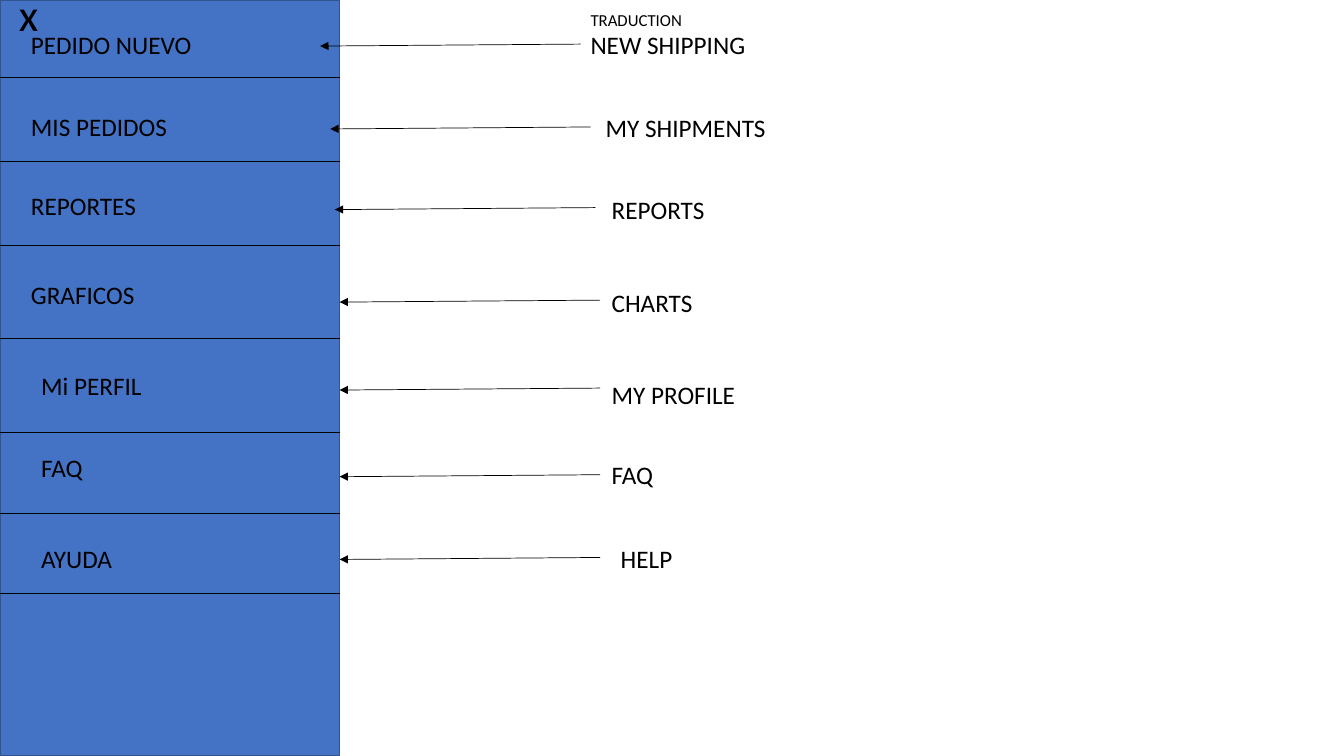
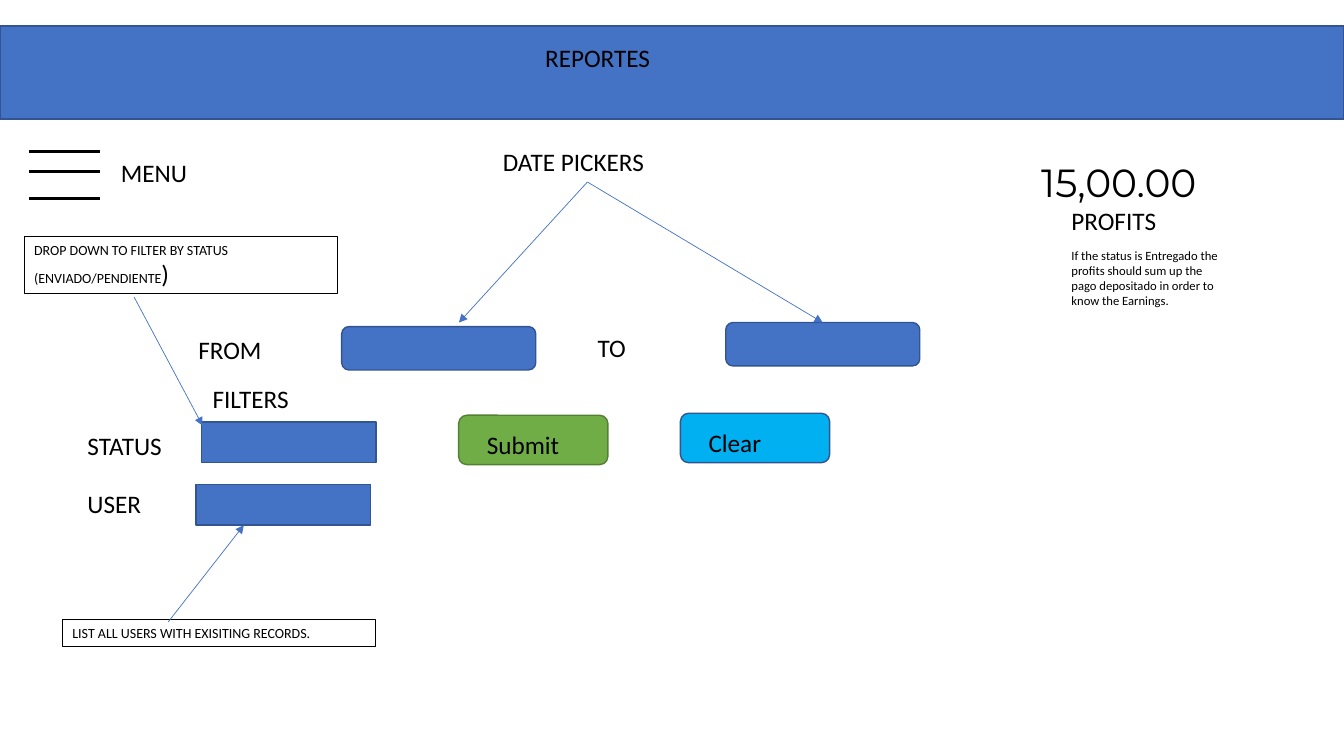
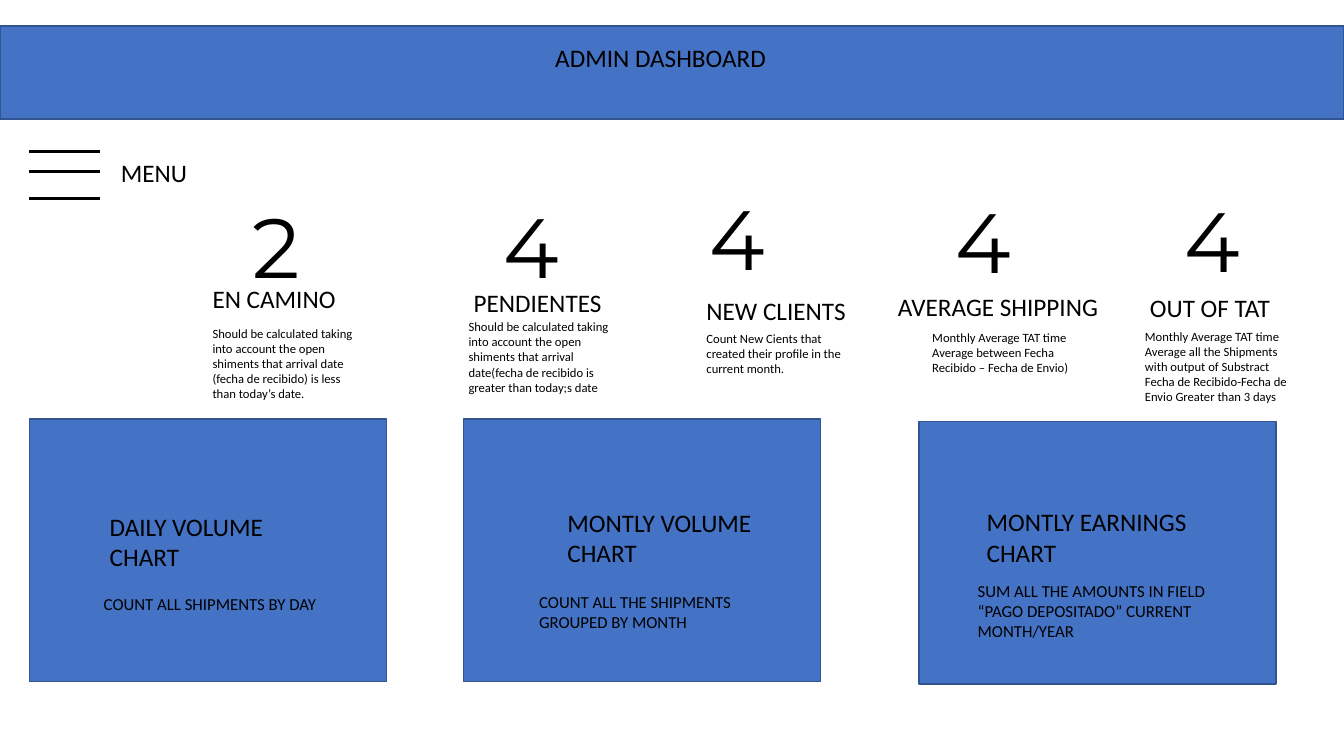
from lxml.etree import SubElement
from pptx import Presentation
from pptx.dml.color import RGBColor
from pptx.enum.shapes import MSO_CONNECTOR, MSO_SHAPE
from pptx.oxml.ns import qn
from pptx.util import Pt

COLORS = {
    "blue": "4472C4",
    "blue_edge": "325491",
    "green": "70AD47",
    "green_edge": "538035",
    "sky": "00B0F0",
    "black": "000000",
}
BODY_FONT = "Calibri"
NUMBER_FONT = "Montserrat"
RECT = MSO_SHAPE.RECTANGLE
ROUNDED = MSO_SHAPE.ROUNDED_RECTANGLE


def add_box(slide, at, text="", size=18, font=BODY_FONT, preset=None,
            fill="blue", edge=None, edge_width=1):
    """Add a filled preset shape, or a text box when no preset is given."""
    lengths = [Pt(value) for value in at]
    if preset is None:
        box = slide.shapes.add_textbox(*lengths)
    else:
        box = slide.shapes.add_shape(preset, *lengths)
        box.shadow.inherit = False
        box.fill.solid()
        box.fill.fore_color.rgb = RGBColor.from_string(COLORS[fill])
        edge = edge or "blue_edge"
    if edge:
        box.line.color.rgb = RGBColor.from_string(COLORS[edge])
        box.line.width = Pt(edge_width)
    if text:
        box.text_frame.word_wrap = True
        para = box.text_frame.paragraphs[0]
        para.text = text
        para.font.size = Pt(size)
        para.font.name = font
        para.font.color.rgb = RGBColor.from_string(COLORS["black"])
    return box


def add_line(slide, start, end, color="black", width=0.5, arrow=False):
    line = slide.shapes.add_connector(
        MSO_CONNECTOR.STRAIGHT, *[Pt(value) for value in (*start, *end)])
    line.line.color.rgb = RGBColor.from_string(COLORS[color])
    line.line.width = Pt(width)
    if arrow:
        SubElement(line.line._get_or_add_ln(), qn("a:tailEnd"), type="triangle")
    SubElement(line._element.spPr, qn("a:effectLst"))
    return line


deck = Presentation()
deck.slide_width, deck.slide_height = Pt(960), Pt(540)
blank = deck.slide_layouts[6]
menu, reports, dashboard = [deck.slides.add_slide(blank) for _ in range(3)]

# Shared header: title band and menu icon
for slide, title, title_left in [
    (reports, "REPORTES", 382.3),
    (dashboard, "ADMIN DASHBOARD", 389.5),
]:
    add_box(slide, (0, 18.7, 960, 66.2), preset=RECT)
    add_box(slide, (title_left, 26.6, 216, 51), title)
    for y in (108.4, 122.4, 141.8):
        add_line(slide, (20.9, y), (71.3, y), width=2.25)
    add_box(slide, (79.2, 108.7, 65.5, 29), "MENU")

# Slide 1: side menu with translations
SIDEBAR_WIDTH = 242.6
ARROW_RUN, ARROW_DROP = 186, 1.4
add_box(menu, (0, 0, SIDEBAR_WIDTH, 540), preset=RECT)
add_box(menu, (6.5, -13, 31.7, 46), "x", size=32)
add_box(menu, (414.7, 3.6, 156, 21.6), "TRADUCTION", size=12)
# Spanish label, left, top; English label, left, top; arrow x, y; divider y
for spanish, left, top, english, english_left, english_top, x, y, divider in [
    ("PEDIDO NUEVO", 15, 17.3, "NEW SHIPPING", 414.7, 17.3, 414.7, 31.5, 55),
    ("MIS PEDIDOS", 15, 76.3, "MY SHIPMENTS", 425.5, 77, 421.9, 90.7, 115.2),
    ("REPORTES", 15, 132.5, "REPORTS", 429.8, 135.4, 425.2, 148.3, 175.5),
    ("GRAFICOS", 15, 195.8, "CHARTS", 429.8, 201.6, 428.6, 214.4, 241.8),
    ("Mi PERFIL", 22.3, 260.9, "MY PROFILE", 429.8, 267.3, 428.6, 277.2, 309),
    ("FAQ", 22.3, 319.7, "FAQ", 429.8, 324.7, 428.6, 339.1, 366.6),
    ("AYUDA", 22.3, 384.5, "HELP", 436.3, 384.5, 428.6, 398.2, 423.6),
]:
    add_line(menu, (0, divider), (SIDEBAR_WIDTH, divider))
    add_box(menu, (left, top, 198, 29), spanish)
    add_box(menu, (english_left, english_top, 156, 29), english)
    add_line(menu, (x, y), (x - ARROW_RUN, y + ARROW_DROP), arrow=True)

# Slide 2: report filters
from_picker, to_picker = [
    add_box(reports, (left, top, 138.6, 31), preset=ROUNDED)
    for left, top in [(244.1, 233.3), (518.4, 230.4)]
]
for left, top in [(144, 301.5), (140, 346)]:
    add_box(reports, (left, top, 124.6, 29), preset=RECT)

for label, left, top, fill, edge in [
    ("Submit", 327.6, 296.6, "green", "green_edge"),
    ("Clear", 486, 295.2, "sky", "blue_edge"),
]:
    add_box(reports, (left, top, 106.6, 35.3), preset=ROUNDED,
            fill=fill, edge=edge)
    add_box(reports, (left + 13, top + 6.5, 106.6, 29), label)

for label, left, top in [
    ("DATE PICKERS", 352.1, 101),
    ("FROM", 134.6, 235.4),
    ("TO", 419.8, 233.6),
    ("FILTERS", 144.7, 270.2),
    ("STATUS", 55.4, 303.8),
    ("USER", 55.4, 344.9),
    ("PROFITS", 758.2, 143.3),
]:
    add_box(reports, (left, top, 148, 29), label)

status_note = add_box(
    reports, (17.3, 168.8, 223.9, 41),
    "DROP DOWN TO FILTER BY STATUS (ENVIADO/PENDIENTE",
    size=10, edge="black", edge_width=0.75)
span = status_note.text_frame.paragraphs[0].add_run()
span.text = ")"
span.font.size = Pt(18)
add_box(reports, (44.6, 442.6, 223.9, 19.4),
        "LIST ALL USERS WITH EXISITING RECORDS.",
        size=10, edge="black", edge_width=0.75)

add_box(reports, (736.6, 109.4, 181.4, 41), "15,00.00",
        size=28, font=NUMBER_FONT)
add_box(reports, (758.2, 173.5, 123.8, 51),
        "If the status is Entregado the profits should sum up the pago "
        "depositado in order to know the Earnings.", size=9)

for start, end, target in [
    ((419.6, 130), (327.8, 230.4), None),
    ((419.6, 130), (587.7, 230.4), to_picker),
    ((95.8, 212.2), (144.7, 304), None),
    ((120.2, 444.2), (174.2, 375.1), None),
]:
    arrow = add_line(reports, start, end, color="blue", arrow=True)
    if target:
        arrow.end_connect(target, 0)

# Slide 3: chart cards
# Card left, top; title, left, top, width; note, left, top
for left, top, title, title_left, title_top, width, note, note_left, note_top in [
    (20.9, 299.3, "DAILY VOLUME CHART", 71.3, 361.4, 154.8,
     "COUNT ALL SHIPMENTS BY DAY", 67, 420.8),
    (331, 299.3, "MONTLY VOLUME CHART", 398.2, 358.6, 153.4,
     "COUNT ALL THE SHIPMENTS GROUPED BY MONTH", 378, 419),
    (656.4, 301.2, "MONTLY EARNINGS CHART", 697.7, 358.3, 182.9,
     "SUM ALL THE AMOUNTS IN FIELD “PAGO DEPOSITADO” CURRENT MONTH/YEAR",
     691.2, 411.1),
]:
    add_box(dashboard, (left, top, 255.2, 187.4), preset=RECT)
    add_box(dashboard, (title_left, title_top, width, 51), title)
    add_box(dashboard, (note_left, note_top, 193.7, 51), note, size=12)

# Number, left, top; label, left, top; note, left, top
for number, left, top, label, label_left, label_top, note, note_left, note_top in [
    ("2", 173.5, 135.4, "EN CAMINO", 144.7, 198.7,
     "Should be calculated taking into account the open shiments that arrival "
     "date (fecha de recibido) is less than today’s date.", 144.7, 229),
    ("4", 352.9, 135.4, "PENDIENTES", 331.2, 201.6,
     "Should be calculated taking into account the open shiments that arrival "
     "date(fecha de recibido is greater than today;s date", 327.6, 224.3),
    ("4", 500, 129.6, "NEW CLIENTS", 497.5, 207.4,
     "Count New Cients that created their profile in the current month.",
     497.5, 232.6),
    ("4", 675.4, 131.8, "AVERAGE SHIPPING", 634.3, 204.5,
     "Monthly Average TAT time Average between Fecha Recibido – Fecha de "
     "Envio)", 658.8, 231.8),
    ("4", 838.8, 131, "OUT OF TAT", 814.3, 205.2,
     "Monthly Average TAT time Average all the Shipments with output of "
     "Substract Fecha de Recibido-Fecha de Envio Greater than 3 days",
     810.7, 231.1),
]:
    label_width = 172 if label == "AVERAGE SHIPPING" else 116.6
    add_box(dashboard, (left, top, 95, 80), number, size=60, font=NUMBER_FONT)
    add_box(dashboard, (label_left, label_top, label_width, 29), label)
    add_box(dashboard, (note_left, note_top, 123.8, 62), note, size=9)

deck.save("out.pptx")
